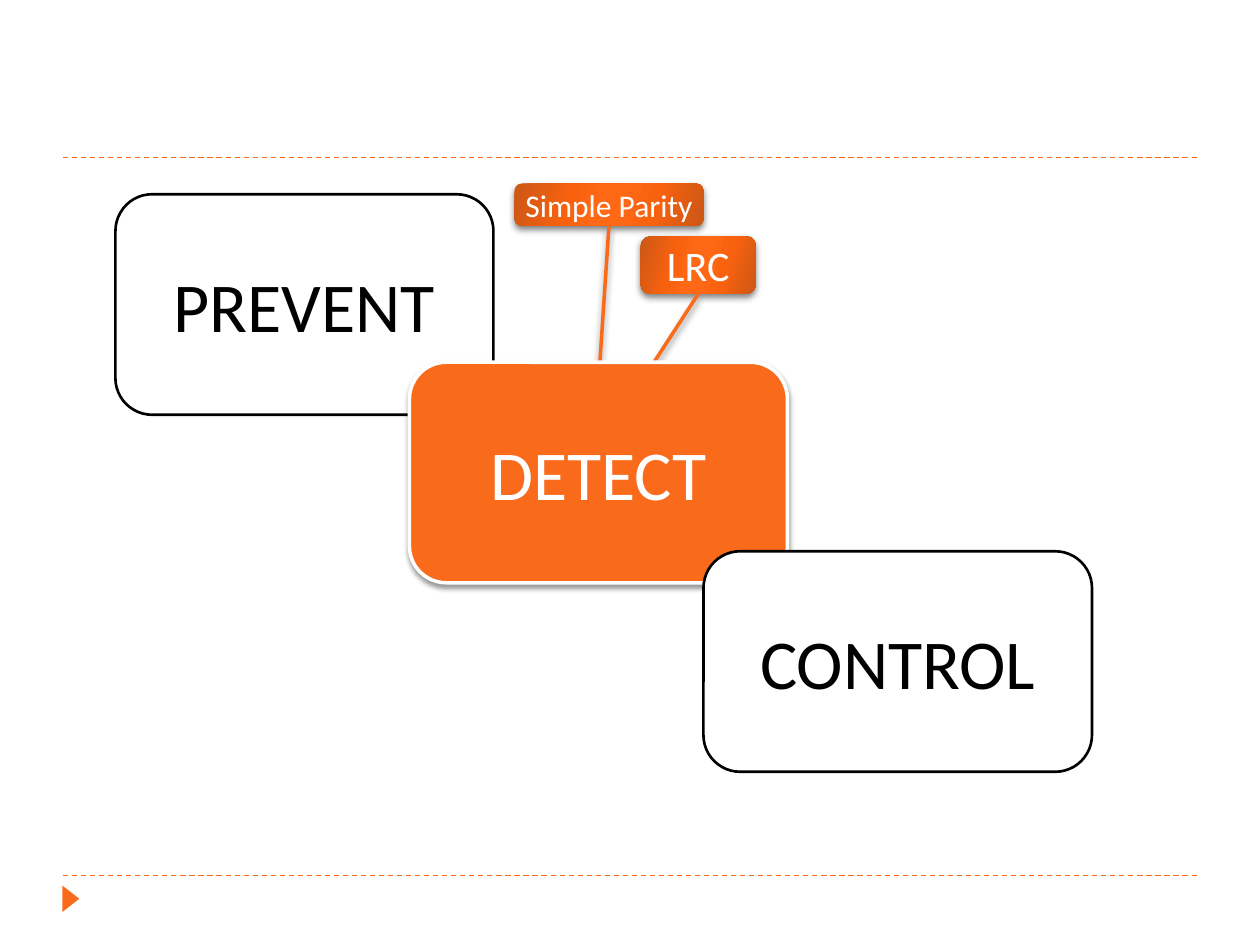
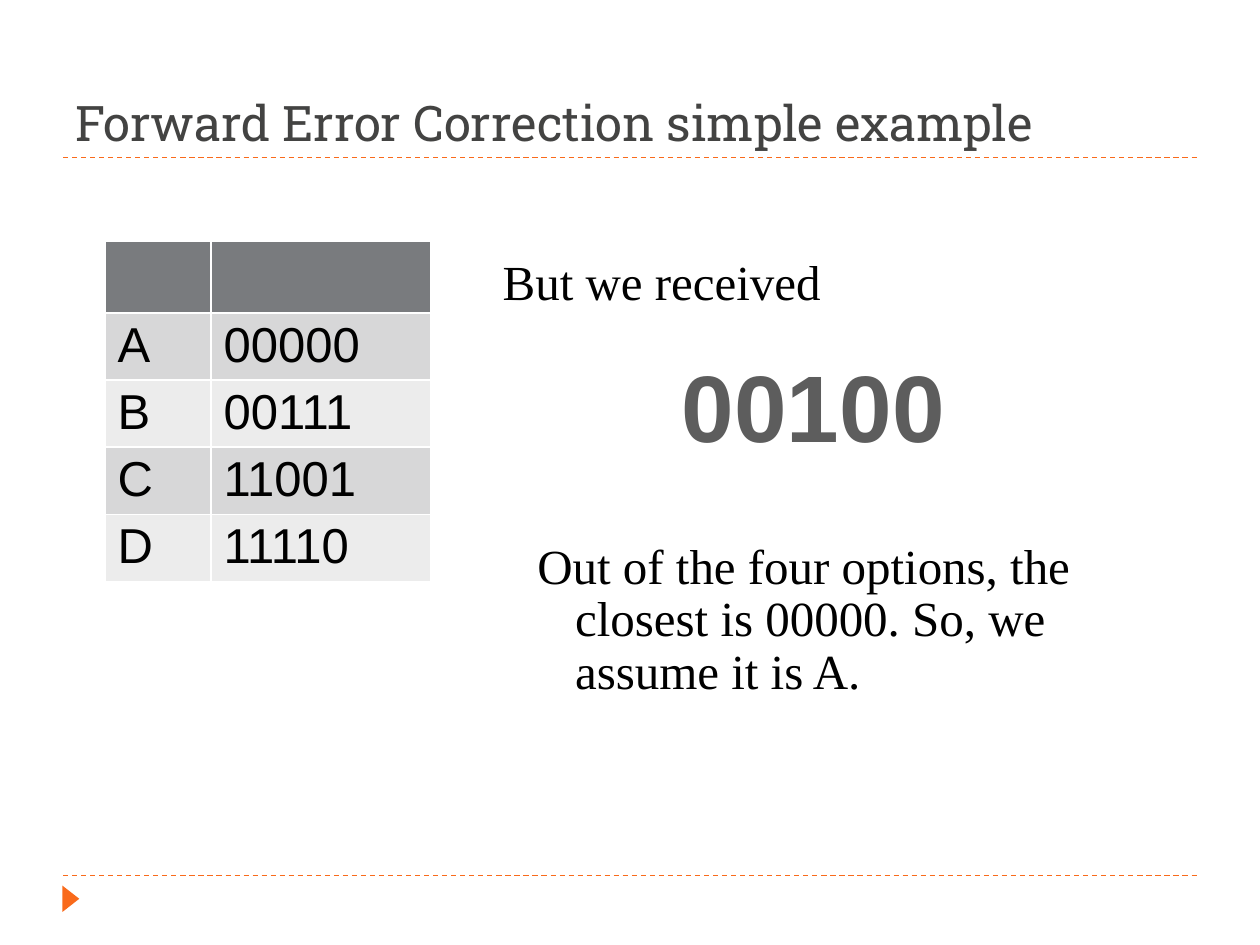
from dataclasses import dataclass
from typing import NamedTuple

from lxml.etree import SubElement
from pptx import Presentation
from pptx.dml.color import RGBColor as RGB
from pptx.enum.dml import MSO_LINE as Dash
from pptx.enum.shapes import MSO_CONNECTOR as Conn, MSO_SHAPE as Geom
from pptx.enum.text import MSO_ANCHOR as Anchor, MSO_AUTO_SIZE as Fit, PP_ALIGN as Align
from pptx.oxml.ns import qn
from pptx.util import Emu, Inches, Pt

COLUMNS, ROWS = 120, 90
WIDTH, HEIGHT = Inches(10), Inches(7.5)


@dataclass(frozen=True)
class Theme:
    accent: str = "F96A1B"
    white: str = "FFFFFF"
    black: str = "000000"
    title: str = "434342"
    code: str = "5D5D5D"
    header: str = "797B7E"
    bands: tuple = ("D7D7D8", "ECECEC")
    glow: tuple = ((0, "CC5716"), (30, "F8620F"), (45, "FF6815"),
                   (55, "FF6815"), (73, "F8620F"), (100, "CC5716"))
    glow_angle: int = 16
    title_font: str = "Roboto Slab"
    label_font: str = "Calibri"
    code_font: str = "Arial"
    body_font: str = "Times New Roman"
    small: int = 18
    tag: int = 24
    body: int = 28
    stage: int = 40
    big: int = 54


T = Theme()


class Area(NamedTuple):
    col: float
    row: float
    cols: float
    rows: float


class Shadow(NamedTuple):
    alpha: int
    blur: float
    dist: float


class Stage(NamedTuple):
    text: str
    area: Area
    fill: str
    ink: str
    line_width: float
    shadow: Shadow | None = None


class Tag(NamedTuple):
    text: str
    area: Area
    size: int
    inset: float
    root: tuple


class Note(NamedTuple):
    text: str
    area: Area


STAGES = (
    Stage("PREVENT", Area(11, 18.5, 36, 21), T.white, T.black, 1.5),
    Stage("DETECT", Area(39, 34.5, 36, 21), T.accent, T.white, 2, Shadow(40, 3, 2)),
    Stage("CONTROL", Area(67, 52.5, 37, 21), T.white, T.black, 1.5),
)
TAGS = (
    Tag("LRC", Area(61, 22.5, 11, 5.5), T.tag, 0.05, (61, 36.5)),
    Tag("Simple Parity", Area(49, 17.5, 18, 4), T.small, 0, (57, 36.5)),
)
TAG_SHADOW = Shadow(50, 4, 2)
LINK_SHADOW = Shadow(40, 4, 3.4)
RULE_ROWS = (15, 83.4)
CODES = (("A", "00000"), ("B", "00111"), ("C", "11001"), ("D", "11110"))
NOTES = (
    Note("But we received", Area(46.7, 24, 47, 9)),
    Note("Out of the four options, the closest is 00000. So, we assume it is A.",
         Area(50, 51, 61, 19)),
)


def x(cols: float) -> Emu:
    return Emu(round(WIDTH * cols / COLUMNS))


def y(rows: float) -> Emu:
    return Emu(round(HEIGHT * rows / ROWS))


def box(area: Area) -> tuple:
    return x(area.col), y(area.row), x(area.cols), y(area.rows)


def write(tf, text: str, *, font: str, size: int, color: str, bold: bool = False,
          align=Align.LEFT, anchor=Anchor.TOP, wrap: bool = True):
    tf.word_wrap = wrap
    tf.vertical_anchor = anchor
    p = tf.paragraphs[0]
    p.alignment = align
    r = p.add_run()
    r.text = text
    r.font.name, r.font.size, r.font.bold = font, Pt(size), bold
    r.font.color.rgb = RGB.from_string(color)
    return p


def add_color(parent, color: str):
    return SubElement(parent, qn("a:srgbClr"), val=color)


def set_effects(sp, shadow: Shadow | None = None) -> None:
    effects = SubElement(sp.element.spPr, qn("a:effectLst"))
    if shadow:
        outer = SubElement(effects, qn("a:outerShdw"), blurRad=str(Pt(shadow.blur)),
                           dist=str(Pt(shadow.dist)), dir="5400000", rotWithShape="0")
        SubElement(add_color(outer, T.black), qn("a:alpha"), val=str(shadow.alpha * 1000))


def set_glow(sp) -> None:
    sp.fill.gradient()
    grad = sp.element.spPr.find(qn("a:gradFill"))
    for child in list(grad):
        grad.remove(child)
    stops = SubElement(grad, qn("a:gsLst"))
    for position, color in T.glow:
        add_color(SubElement(stops, qn("a:gs"), pos=str(position * 1000)), color)
    SubElement(grad, qn("a:lin"), ang=str(T.glow_angle * 60000), scaled="0")


def add_line(slide, start: tuple, end: tuple, width: float,
             dash=None, shadow: Shadow | None = None):
    line = slide.shapes.add_connector(Conn.STRAIGHT, x(start[0]), y(start[1]),
                                      x(end[0]), y(end[1]))
    line.line.color.rgb = RGB.from_string(T.accent)
    line.line.width = Pt(width)
    if dash:
        line.line.dash_style = dash
    set_effects(line, shadow)
    return line


def add_box(slide, geom, area: Area, fill: str | None, line: str | None = None,
            width: float = 0, shadow: Shadow | None = None):
    sp = slide.shapes.add_shape(geom, *box(area))
    if fill:
        sp.fill.solid()
        sp.fill.fore_color.rgb = RGB.from_string(fill)
    else:
        set_glow(sp)
    if line:
        sp.line.color.rgb = RGB.from_string(line)
        sp.line.width = Pt(width)
    else:
        sp.line.fill.background()
    set_effects(sp, shadow)
    return sp


def add_slide(prs, title: str | None = None):
    slide = prs.slides.add_slide(prs.slide_layouts[5 if title else 6])
    for row in RULE_ROWS:
        add_line(slide, (6, row), (114, row), 0.75, Dash.DASH)
    marker = add_box(slide, Geom.ISOSCELES_TRIANGLE, Area(5.5, 84.8, 2.5, 1.6), T.accent)
    marker.rotation = 90
    if title:
        sp = slide.shapes.title
        sp.left, sp.top, sp.width, sp.height = box(Area(6, 0, 108, 15))
        write(sp.text_frame, title, font=T.title_font, size=T.body, color=T.title,
              anchor=Anchor.BOTTOM)
        sp.text_frame.auto_size = Fit.NONE
    return slide


def add_tag(slide, tag: Tag) -> None:
    sp = add_box(slide, Geom.ROUNDED_RECTANGLE, tag.area, None, shadow=TAG_SHADOW)
    tf = sp.text_frame
    tf.margin_left = tf.margin_right = tf.margin_top = tf.margin_bottom = Inches(tag.inset)
    write(tf, tag.text, font=T.label_font, size=tag.size, color=T.white,
          align=Align.CENTER, anchor=Anchor.MIDDLE)
    foot = (tag.area.col + tag.area.cols / 2, tag.area.row + tag.area.rows)
    add_line(slide, tag.root, foot, 2, shadow=LINK_SHADOW).end_connect(sp, 2)


def add_stage(slide, stage: Stage) -> None:
    sp = add_box(slide, Geom.ROUNDED_RECTANGLE, stage.area, stage.fill, stage.ink,
                 stage.line_width, stage.shadow)
    write(sp.text_frame, stage.text, font=T.label_font, size=T.stage, color=stage.ink,
          align=Align.CENTER, anchor=Anchor.MIDDLE)


def add_code_table(slide) -> None:
    area = Area(10, 23, 31, 32.4)
    table = slide.shapes.add_table(len(CODES) + 1, 2, *box(area)).table
    for column, cols in zip(table.columns, (10.1, 20.9)):
        column.width = x(cols)
    for i, row in enumerate(table.rows):
        row.height = y(6.4 if i else 6.8)
        for j, cell in enumerate(row.cells):
            cell.fill.solid()
            cell.fill.fore_color.rgb = RGB.from_string(T.bands[(i - 1) % 2] if i else T.header)
            cell.margin_top = cell.margin_bottom = Inches(0.04)
            if i:
                write(cell.text_frame, CODES[i - 1][j], font=T.code_font, size=T.body,
                      color=T.black)


def add_note(slide, note: Note) -> None:
    tf = slide.shapes.add_textbox(*box(note.area)).text_frame
    p = write(tf, note.text, font=T.body_font, size=T.body, color=T.black)
    p.line_spacing, p.space_before = 0.9, Pt(6)
    indent = Inches(0.3)
    p._p.get_or_add_pPr().set("marL", str(indent))
    p._p.get_or_add_pPr().set("indent", str(-indent))


def build_stages(prs) -> None:
    slide = add_slide(prs)
    for tag in TAGS:
        add_tag(slide, tag)
    for stage in STAGES:
        add_stage(slide, stage)


def build_example(prs) -> None:
    slide = add_slide(prs, "Forward Error Correction simple example")
    add_code_table(slide)
    tf = slide.shapes.add_textbox(*box(Area(58, 32.6, 38.9, 5.4))).text_frame
    write(tf, "00100", font=T.code_font, size=T.big, color=T.code, bold=True,
          align=Align.CENTER, wrap=False)
    tf.auto_size = Fit.SHAPE_TO_FIT_TEXT
    for note in NOTES:
        add_note(slide, note)


def main() -> None:
    prs = Presentation()
    prs.slide_width, prs.slide_height = WIDTH, HEIGHT
    build_stages(prs)
    build_example(prs)
    prs.save("out.pptx")


if __name__ == "__main__":
    main()
